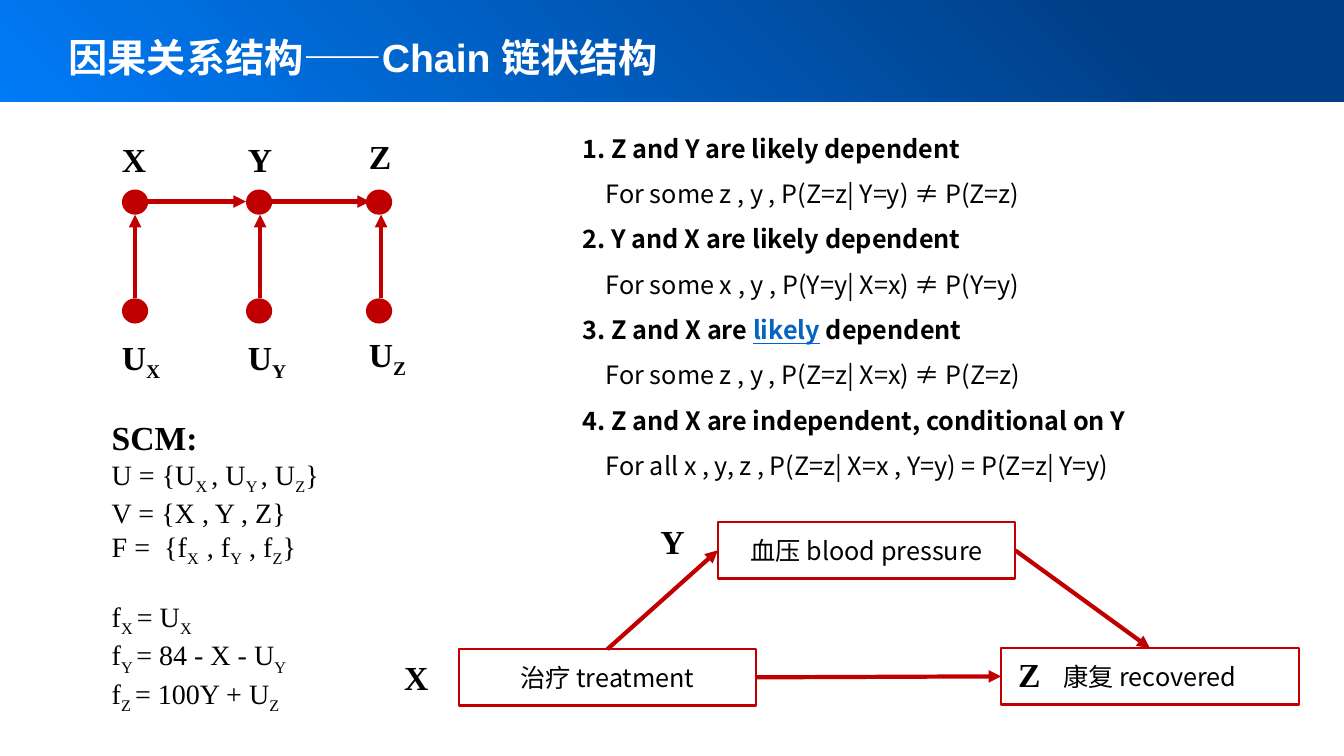
from pptx import Presentation
from pptx.dml.color import RGBColor
from pptx.enum.shapes import MSO_CONNECTOR as CONN, MSO_SHAPE as SHAPE
from pptx.enum.text import MSO_ANCHOR as ANCHOR, MSO_AUTO_SIZE as AUTO, PP_ALIGN as ALIGN
from pptx.oxml.ns import qn
from pptx.util import Inches, Pt
from lxml import etree

RED = RGBColor(0xC0, 0x00, 0x00)
BLACK = RGBColor(0x00, 0x00, 0x00)
WHITE = RGBColor(0xFF, 0xFF, 0xFF)
NAVY = RGBColor(0x00, 0x3F, 0x88)
AZURE = RGBColor(0x00, 0x7B, 0xF6)
LINK_BLUE = RGBColor(0x05, 0x63, 0xC1)
SERIF = "Times New Roman"
SANS = "Noto Sans CJK SC"

prs = Presentation()
prs.slide_width, prs.slide_height = Inches(13.33), Inches(7.5)
slide = prs.slides.add_slide(prs.slide_layouts[5])
shapes = slide.shapes


def add_text(x, y, w, h, lines, wrap=False):
    """Serif text box; lines hold (text, size, bold, space before), with ~ around subscripts."""
    tf = shapes.add_textbox(Inches(x), Inches(y), Inches(w), Inches(h)).text_frame
    tf.word_wrap = wrap
    tf.auto_size = AUTO.SHAPE_TO_FIT_TEXT
    for i, (text, size, bold, before) in enumerate(lines):
        p = tf.add_paragraph() if i else tf.paragraphs[0]
        if before:
            p.space_before = Pt(before)
        for j, part in enumerate(text.split("~")):
            if not part:
                continue
            r = p.add_run()
            r.text = part
            r.font.name, r.font.size, r.font.bold = SERIF, Pt(size), bold
            r.font.color.rgb = BLACK
            if j % 2:
                r.font._element.set("baseline", "-25000")


def add_arrow(x1, y1, x2, y2):
    c = shapes.add_connector(CONN.STRAIGHT, Inches(x1), Inches(y1), Inches(x2), Inches(y2))
    c.line.color.rgb = RED
    c.line.width = Pt(3)
    etree.SubElement(c.line._get_or_add_ln(), qn("a:tailEnd"), type="triangle")
    etree.SubElement(c._element.spPr, qn("a:effectLst"))
    return c


# Header band, placed behind the title
band = shapes.add_shape(SHAPE.RECTANGLE, 0, 0, prs.slide_width, Inches(1.01))
band.shadow.inherit = False
band.line.fill.background()
band.fill.gradient()
band.fill.gradient_angle = 225
for stop, position, color in zip(band.fill.gradient_stops, (0.17, 1), (NAVY, AZURE)):
    stop.position = position
    stop.color.rgb = color
shapes._spTree.insert(2, band._element)

# Title
title = shapes.title
title.left, title.top = Inches(0.58), Inches(0.28)
title.width, title.height = Inches(7.58), Inches(0.57)
tf = title.text_frame
tf.vertical_anchor = ANCHOR.TOP
tf.auto_size = AUTO.NONE
p = tf.paragraphs[0]
p.alignment = ALIGN.LEFT
r = p.add_run()
r.text = "因果关系结构——Chain 链状结构"
r.font.name, r.font.size, r.font.bold = "Arial", Pt(28), True
r.font.color.rgb = WHITE

# Causal graph: a variable above its exogenous cause in each column
for name, dot_x, arrow_x, label_x, label_y in (
    ("X", 1.21, 1.34, 1.11, 1.33),
    ("Y", 2.44, 2.58, 2.36, 1.33),
    ("Z", 3.63, 3.78, 3.56, 1.30),
):
    for dot_y in (1.88, 2.96):
        dot = shapes.add_shape(SHAPE.OVAL, Inches(dot_x), Inches(dot_y), Inches(0.26), Inches(0.25))
        dot.shadow.inherit = False
        dot.fill.solid()
        dot.fill.fore_color.rgb = RED
        dot.line.fill.background()
    add_arrow(arrow_x, 2.96, arrow_x, 2.13)
    add_text(label_x, label_y, 0.45, 0.5, [(name, 24, True, 0)])
    add_text(label_x, label_y + 1.96, 0.61, 0.5, [(f"U~{name}~", 24, True, 0)])
add_arrow(1.47, 2, 2.44, 2)
add_arrow(2.69, 2, 3.67, 2)

# Structural causal model
add_text(1.01, 4.09, 3.49, 2.86, [
    ("SCM:", 24, True, 0),
    ("U = {U~X ~, U~Y ~, U~Z~}", 20, False, 0),
    ("V = {X , Y , Z}", 20, False, 0),
    ("F =  {f~X  ~, f~Y~ , f~Z~}", 20, False, 0),
    ("f~X ~= U~X~", 20, False, 23),
    ("f~Y ~= 84 - X - U~Y~", 20, False, 0),
    ("f~Z ~= 100Y + U~Z~", 20, False, 0),
], wrap=True)

# Dependence statements, each with its indented formula
tf = shapes.add_textbox(Inches(5.68), Inches(1.12), Inches(6.1), Inches(3.68)).text_frame
tf.word_wrap = False
tf.auto_size = AUTO.SHAPE_TO_FIT_TEXT
statements = (
    (("1. Z and Y are likely dependent",), "For some z , y , P(Z=z| Y=y) ≠ P(Z=z)"),
    (("2. Y and X are likely dependent",), "For some x , y , P(Y=y| X=x) ≠ P(Y=y)"),
    (("3. Z and X are ", "likely", " dependent"), "For some z , y , P(Z=z| X=x) ≠ P(Z=z)"),
    (("4. Z and X are independent, conditional on Y",),
     "For all x , y, z , P(Z=z| X=x , Y=y) = P(Z=z| Y=y)"),
)
for i, (claim, formula) in enumerate(statements):
    for parts, bold in ((claim, True), ((formula,), False)):
        p = tf.paragraphs[0] if bold and i == 0 else tf.add_paragraph()
        p.line_spacing = 1.5
        if not bold:
            p._p.get_or_add_pPr().set("marL", str(Inches(0.23)))
        for part in parts:
            r = p.add_run()
            r.text = part
            r.font.name, r.font.size, r.font.bold = SANS, Pt(18), bold
            r.font.color.rgb = BLACK
            if part == "likely":
                r.font.color.rgb = LINK_BLUE
                r.font.underline = True

# Treatment example
boxes = []
for text, x, y in (
    ("血压 blood pressure", 7.12, 5.18),
    ("治疗 treatment", 4.55, 6.44),
    ("康复 recovered", 9.93, 6.43),
):
    sp = shapes.add_shape(SHAPE.RECTANGLE, Inches(x), Inches(y), Inches(2.95), Inches(0.56))
    sp.shadow.inherit = False
    sp.fill.background()
    sp.line.color.rgb = RED
    sp.line.width = Pt(1.5)
    sp.text_frame.vertical_anchor = ANCHOR.MIDDLE
    p = sp.text_frame.paragraphs[0]
    p.alignment = ALIGN.CENTER
    r = p.add_run()
    r.text = text
    r.font.name, r.font.size = SANS, Pt(18)
    r.font.color.rgb = BLACK
    boxes.append(sp)

pressure, treatment, recovered = boxes
for start, start_side, end, end_side in (
    (treatment, 0, pressure, 1),
    (pressure, 3, recovered, 0),
    (treatment, 3, recovered, 1),
):
    arrow = add_arrow(0, 0, 1, 1)
    arrow.begin_connect(start, start_side)
    arrow.end_connect(end, end_side)

for name, x, y in (("X", 3.91, 6.47), ("Y", 6.45, 5.12), ("Z", 10, 6.44)):
    add_text(x, y, 0.45, 0.5, [(name, 24, True, 0)])

prs.save("out.pptx")
